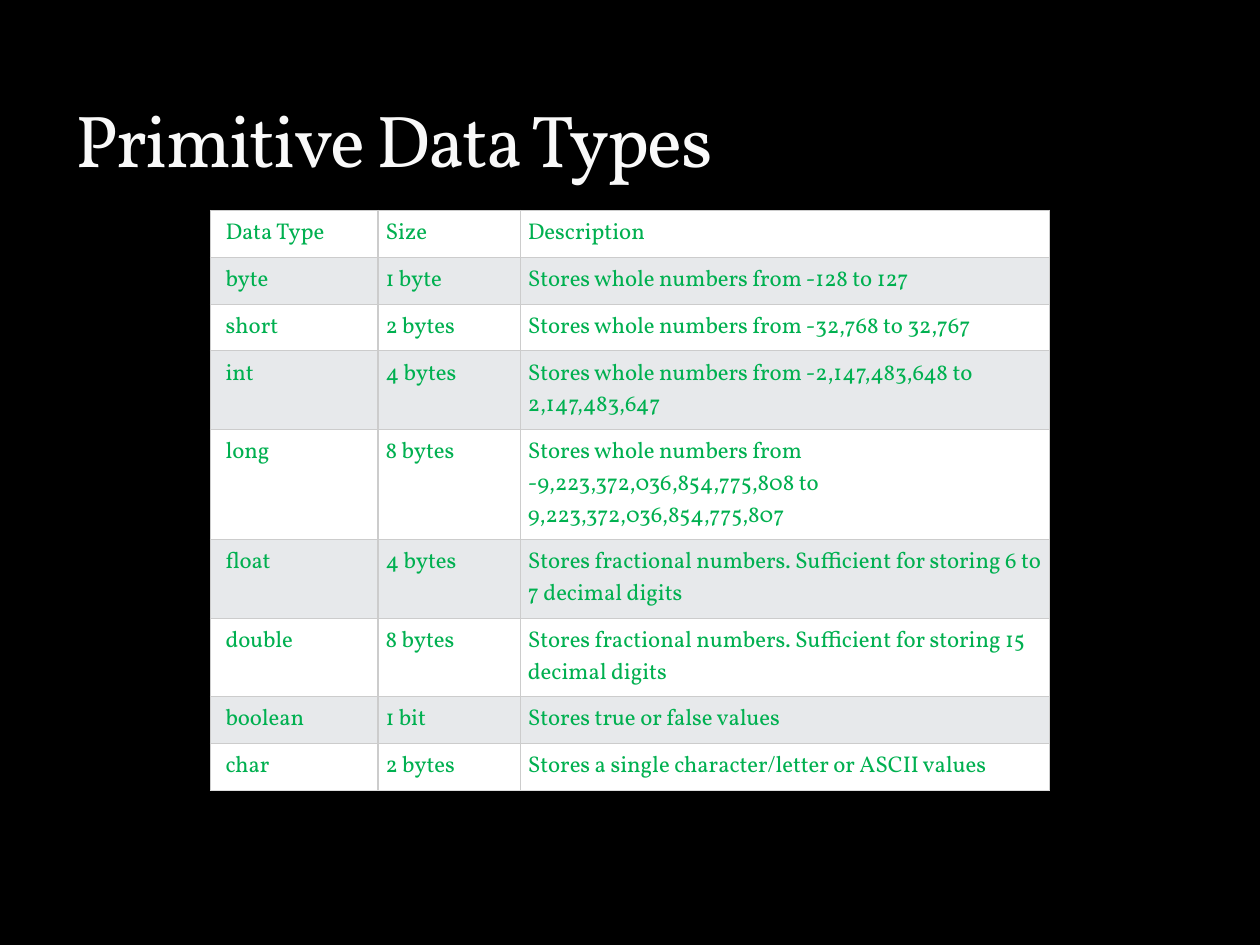
"""Build the slide that lists the primitive data types in a banded table."""
from typing import NamedTuple

from lxml import etree
from pptx import Presentation
from pptx.dml.color import RGBColor
from pptx.enum.text import MSO_ANCHOR, MSO_AUTO_SIZE, PP_ALIGN
from pptx.oxml.ns import qn
from pptx.table import _Cell
from pptx.text.text import _Run
from pptx.util import Inches, Pt

COLORS = {
    "background": "000000",
    "title": "F9F9F9",
    "title_outline": "3C4422",
    "text": "00B050",
    "plain_row": "FFFFFF",
    "banded_row": "E7E9EB",
    "border": "CCCCCC",
    "last_border": "DDDDDD",
}
FONT = "Vollkorn"
SLIDE_WIDTH, SLIDE_HEIGHT = Inches(10), Inches(7.5)
COLUMN_WIDTHS = (1.33, 1.13, 4.2)
PADDING, FIRST_COLUMN_INDENT, LINE_HEIGHT = 0.06, 0.12, 0.22


class DataType(NamedTuple):
    name: str
    size: str
    description: str
    lines: int = 1


ROWS = (
    DataType("Data Type", "Size", "Description"),
    DataType("byte", "1 byte", "Stores whole numbers from -128 to 127"),
    DataType("short", "2 bytes", "Stores whole numbers from -32,768 to 32,767"),
    DataType("int", "4 bytes", "Stores whole numbers from -2,147,483,648 to 2,147,483,647", 2),
    DataType("long", "8 bytes", "Stores whole numbers from -9,223,372,036,854,775,808 "
             "to 9,223,372,036,854,775,807", 3),
    DataType("float", "4 bytes", "Stores fractional numbers. Sufficient for storing 6 to 7 "
             "decimal digits", 2),
    DataType("double", "8 bytes", "Stores fractional numbers. Sufficient for storing 15 "
             "decimal digits", 2),
    DataType("boolean", "1 bit", "Stores true or false values"),
    DataType("char", "2 bytes", "Stores a single character/letter or ASCII values"),
)


def rgb(name: str) -> RGBColor:
    return RGBColor.from_string(COLORS[name])


def add_line(parent: etree._Element, tag: str, width: float, color: str) -> etree._Element:
    line = etree.SubElement(parent, qn(tag), w=str(Pt(width)))
    fill = etree.SubElement(line, qn("a:solidFill"))
    return etree.SubElement(fill, qn("a:srgbClr"), val=COLORS[color])


def style_run(run: _Run, size: float, color: str) -> None:
    run.font.name, run.font.size = FONT, Pt(size)
    run.font.color.rgb = rgb(color)


def add_title(slide, text: str) -> None:
    title = slide.shapes.title
    title.left, title.top = int(SLIDE_WIDTH * 0.05), Inches(0.17)
    title.width, title.height = int(SLIDE_WIDTH * 0.9), Inches(1.33)
    frame = title.text_frame
    frame.auto_size = MSO_AUTO_SIZE.NONE
    frame.vertical_anchor = MSO_ANCHOR.BOTTOM
    paragraph = frame.paragraphs[0]
    paragraph.alignment = PP_ALIGN.LEFT
    run = paragraph.add_run()
    run.text = text
    style_run(run, 42, "title")
    properties = run.font._element
    properties.set("spc", "-100")
    outline = add_line(properties, "a:ln", 0.25, "title_outline")
    etree.SubElement(outline, qn("a:alpha"), val="25000")
    properties.insert(0, properties.find(qn("a:ln")))


def fill_cell(cell: _Cell, text: str, indent: float, fill: str, bottom: str) -> None:
    cell.margin_left = Inches(indent)
    cell.margin_top = cell.margin_right = cell.margin_bottom = Inches(PADDING)
    cell.vertical_anchor = MSO_ANCHOR.TOP
    properties = cell._tc.get_or_add_tcPr()
    for side in "LRTB":
        add_line(properties, f"a:ln{side}", 0.75, bottom if side == "B" else "border")
    cell.fill.solid()
    cell.fill.fore_color.rgb = rgb(fill)
    run = cell.text_frame.paragraphs[0].add_run()
    run.text = text
    style_run(run, 13, "text")


def add_type_table(slide) -> None:
    heights = [2 * PADDING + LINE_HEIGHT * row.lines for row in ROWS]
    width = Inches(sum(COLUMN_WIDTHS))
    table = slide.shapes.add_table(
        len(ROWS), len(COLUMN_WIDTHS), (SLIDE_WIDTH - width) // 2, Inches(1.67),
        width, Inches(sum(heights))).table
    table.first_row = table.horz_banding = False
    for column, column_width in zip(table.columns, COLUMN_WIDTHS):
        column.width = Inches(column_width)
    for index, (row, height) in enumerate(zip(ROWS, heights)):
        table.rows[index].height = Inches(height)
        fill = "banded_row" if index % 2 else "plain_row"
        bottom = "last_border" if row is ROWS[-1] else "border"
        for position, text in enumerate((row.name, row.size, row.description)):
            indent = PADDING if position else FIRST_COLUMN_INDENT
            fill_cell(table.cell(index, position), text, indent, fill, bottom)


def main() -> None:
    deck = Presentation()
    deck.slide_width, deck.slide_height = SLIDE_WIDTH, SLIDE_HEIGHT
    slide = deck.slides.add_slide(deck.slide_layouts.get_by_name("Title Only"))
    slide.background.fill.solid()
    slide.background.fill.fore_color.rgb = rgb("background")
    add_title(slide, "Primitive Data Types")
    add_type_table(slide)
    deck.save("out.pptx")


main()
